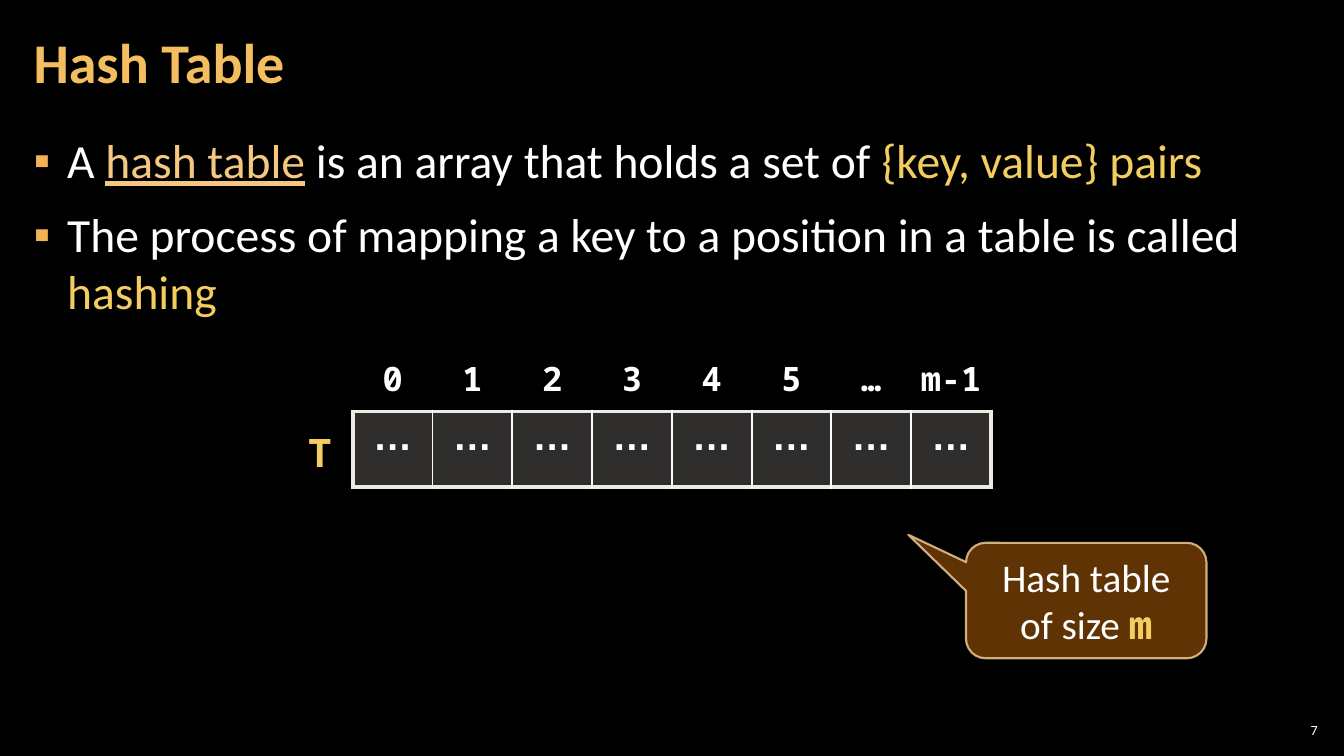
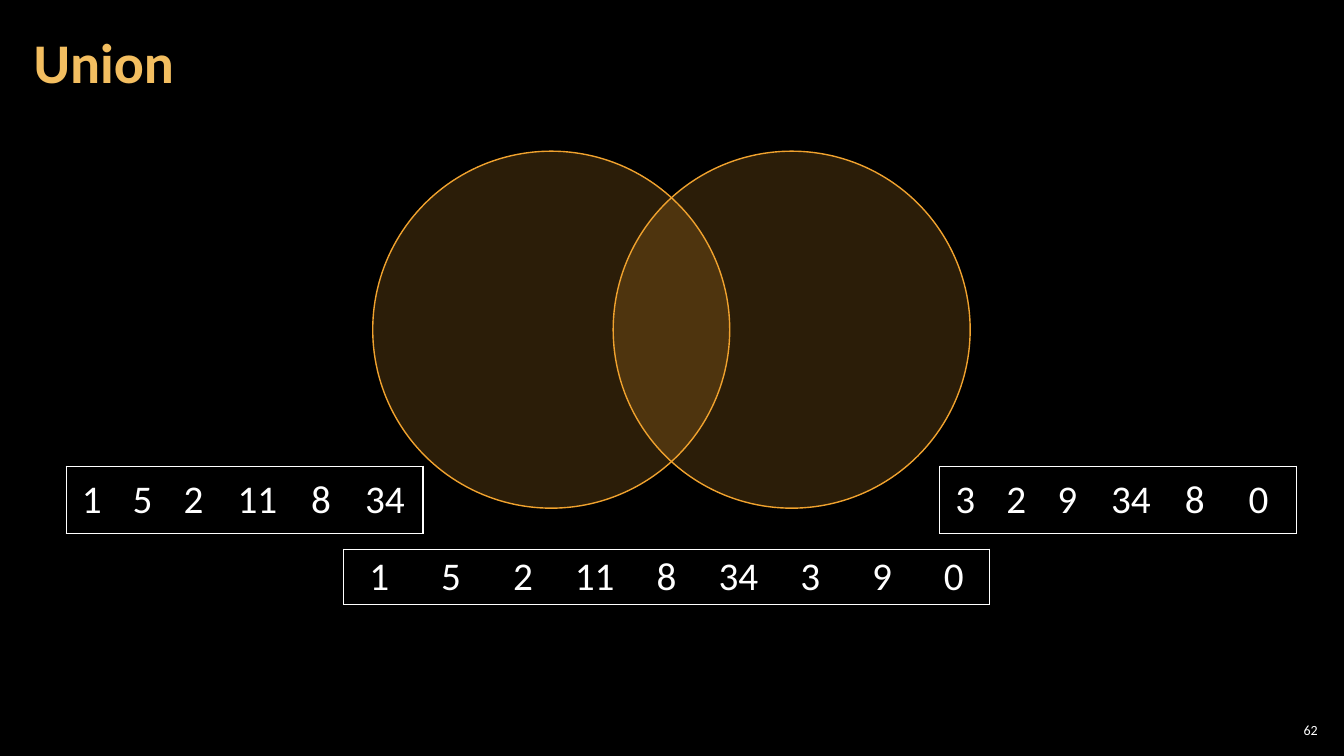
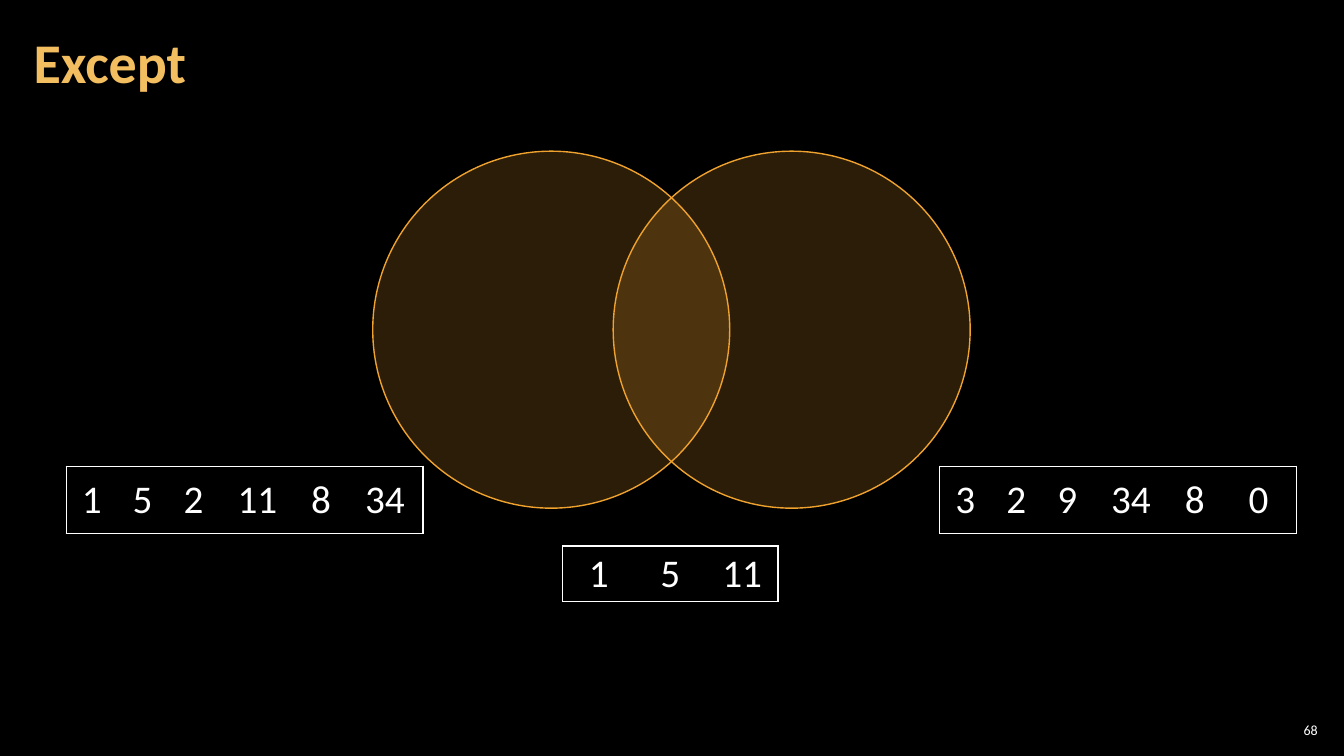
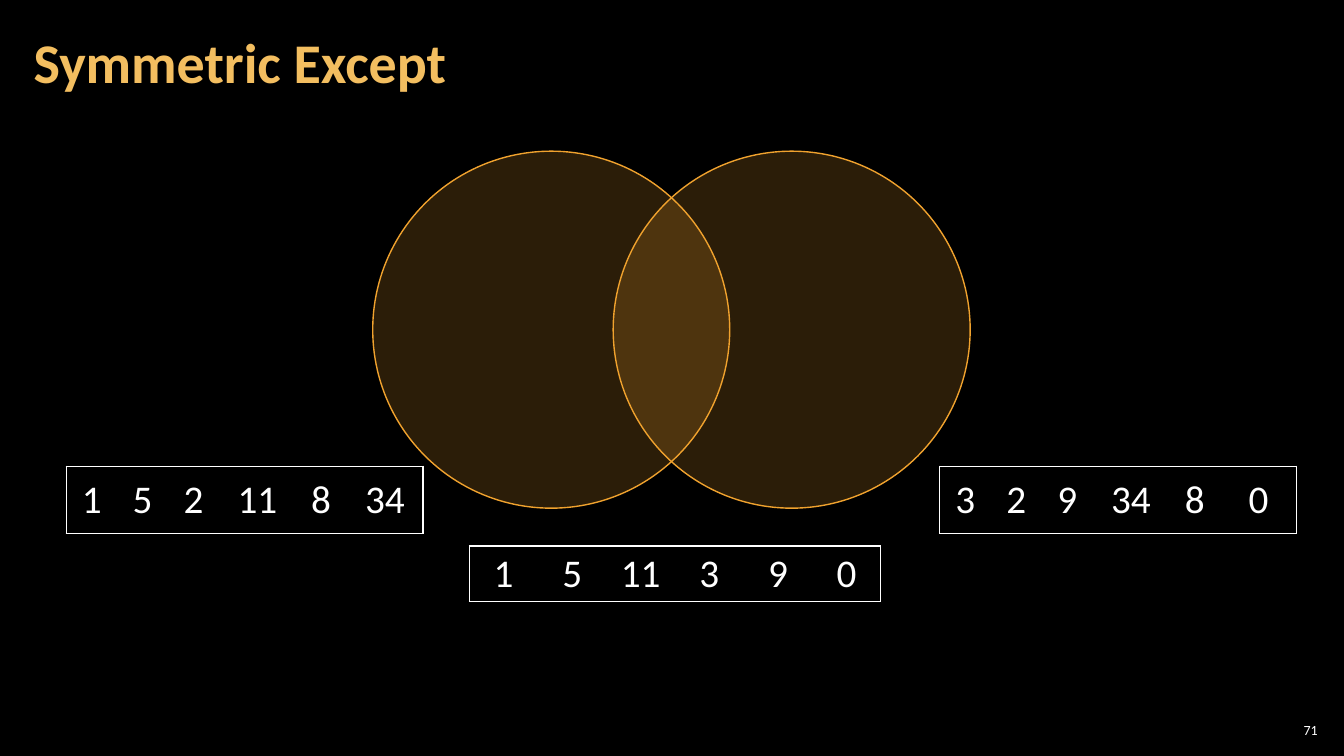
from pptx import Presentation
from pptx.dml.color import RGBColor
from pptx.enum.shapes import MSO_SHAPE
from pptx.enum.text import MSO_ANCHOR, MSO_AUTO_SIZE, PP_ALIGN
from pptx.oxml import parse_xml
from pptx.oxml.ns import nsdecls, qn
from pptx.util import Emu, Pt

SCALE = 9525
SANS, MONO, DOTS = "Calibri", "Noto Sans Mono", "Arial"
BLACK = RGBColor(0x00, 0x00, 0x00)
WHITE = RGBColor(0xFF, 0xFF, 0xFF)
TITLE = RGBColor(0xF3, 0xBE, 0x60)
GOLD = RGBColor(0xF3, 0xCD, 0x60)
PEACH = RGBColor(0xF6, 0xC7, 0x81)
BULLET = RGBColor(0xF2, 0xB2, 0x54)
AMBER = RGBColor(0xF0, 0xA2, 0x2E)
CREAM = RGBColor(0xEC, 0xEA, 0xE3)
BROWN = RGBColor(0x66, 0x36, 0x06)
SAND = RGBColor(0xF8, 0xD4, 0x9E)
NO_STYLE = "{2D5ABB26-0587-4C30-8999-92F81FD0307C}"

# Title, page number, result table box, result values
VENNS = [
    ("Union", 62, (327, 523, 616, 53), "1 5 2 11 8 34 3 9 0"),
    ("Except", 68, (536, 520, 205, 53), "1 5 11"),
    ("Symmetric Except", 71, (447, 520, 392, 53), "1 5 11 3 9 0"),
]


def px(num):
    return Emu(round(num * SCALE))


def place(shape, box):
    shape.left, shape.top, shape.width, shape.height = map(px, box)


def inset(item, side, top):
    """Set the margins of a text frame or a table cell."""
    item.margin_left = item.margin_right = px(side)
    item.margin_top = item.margin_bottom = px(top)


def write(par, text, size, color=WHITE, font=SANS, bold=False, line=None):
    run = par.add_run()
    run.text = text
    style = run.font
    style.size, style.name, style.bold = Pt(size), font, bold
    style.underline = line
    style.color.rgb = color


def fade(elem, *alphas):
    """Give the colours in elem, in order, an opacity in percent."""
    for color, alpha in zip(elem.iter(qn("a:srgbClr")), alphas):
        color.append(parse_xml(
            f'<a:alpha {nsdecls("a")} val="{alpha * 1000}"/>'))


def paint(shape, fill, line, width, *alphas):
    shape.shadow.inherit = False
    shape.fill.solid()
    shape.fill.fore_color.rgb = fill
    shape.line.color.rgb = line
    shape.line.width = Pt(width)
    fade(shape.element.spPr, *alphas)


def bullet(par):
    props = par._p.get_or_add_pPr()
    props.set("marL", str(px(32)))
    props.set("indent", str(px(-32)))
    par.space_before = par.space_after = Pt(6)
    for xml in (f'<a:buClr {nsdecls("a")}><a:srgbClr val="{BULLET}"/></a:buClr>',
                f'<a:buFont {nsdecls("a")} typeface="{DOTS}"/>',
                f'<a:buChar {nsdecls("a")} char="▪"/>'):
        props.append(parse_xml(xml))


def border(cell, edges):
    """Draw cell edges, given as (colour, points) or None for L, R, T, B."""
    props = cell._tc.get_or_add_tcPr()
    spot = 0
    for side, edge in zip("LRTB", edges):
        if edge:
            color, width = edge
            props.insert(spot, parse_xml(
                f'<a:ln{side} {nsdecls("a")} w="{Pt(width)}"><a:solidFill>'
                f'<a:srgbClr val="{color}"/></a:solidFill></a:ln{side}>'))
            spot += 1


def add_row(slide, box, texts, size=28, font=SANS, bold=False, parts=None,
            outer=(WHITE, 1), inner=None, fill=None, pad=(12, 5),
            anchor=MSO_ANCHOR.MIDDLE):
    """Add a table of one row; parts are the relative column widths."""
    count = len(texts)
    parts = parts or [1] * count
    table = slide.shapes.add_table(1, count, *map(px, box)).table
    table.first_row = table.horz_banding = False
    table._tbl.tblPr.find(qn("a:tableStyleId")).text = NO_STYLE
    for i, text in enumerate(texts):
        table.columns[i].width = px(box[2] * parts[i] / sum(parts))
        cell = table.cell(0, i)
        inset(cell, *pad)
        cell.vertical_anchor = anchor
        par = cell.text_frame.paragraphs[0]
        par.alignment = PP_ALIGN.CENTER
        par.line_spacing = 0.95
        write(par, text, size, font=font, bold=bold)
        if fill:
            cell.fill.solid()
            cell.fill.fore_color.rgb = fill
            fade(cell._tc.tcPr, 20)
        else:
            cell.fill.background()
        border(cell, (inner if i else outer,
                      inner if i < count - 1 else outer, outer, outer))


def add_slide(deck, layout, title, page):
    slide = deck.slides.add_slide(deck.slide_layouts[layout])
    head = slide.shapes.title
    place(head, (20, 4, 1005, 116))
    frame = head.text_frame
    frame.auto_size = MSO_AUTO_SIZE.NONE
    frame.vertical_anchor = MSO_ANCHOR.MIDDLE
    inset(frame, 12, 4)
    par = frame.paragraphs[0]
    par.alignment = PP_ALIGN.LEFT
    par.line_spacing = 0.9
    write(par, title, 40, TITLE, bold=True)

    frame = slide.shapes.add_textbox(*map(px, (1214, 685, 45, 20))).text_frame
    frame.word_wrap = True
    frame.vertical_anchor = MSO_ANCHOR.MIDDLE
    inset(frame, 4, 4)
    par = frame.paragraphs[0]
    par.alignment = PP_ALIGN.RIGHT
    write(par, str(page), 10)
    return slide


def add_body(slide):
    body = slide.placeholders[1]
    place(body, (20, 121, 1239, 585))
    frame = body.text_frame
    frame.auto_size = MSO_AUTO_SIZE.NONE
    inset(frame, 12, 4)
    first, second = frame.paragraphs[0], frame.add_paragraph()
    bullet(first)
    write(first, "A ", 34)
    write(first, "hash table", 34, PEACH, line=True)
    write(first, " is an array that holds a set of ", 34)
    write(first, "{key, value} pairs", 34, GOLD)
    bullet(second)
    write(second, "The process of mapping a key to a position in a table "
                  "is called ", 34)
    write(second, "hashing", 34, GOLD)


def add_callout(slide):
    note = slide.shapes.add_shape(MSO_SHAPE.ROUNDED_RECTANGULAR_CALLOUT,
                                  *map(px, (920, 517, 229, 110)))
    for i, value in enumerate((-0.74, -0.57, 0.17)):
        note.adjustments[i] = value
    paint(note, BROWN, SAND, 1.5, 95, 80)
    frame = note.text_frame
    frame.vertical_anchor = MSO_ANCHOR.MIDDLE
    par = frame.paragraphs[0]
    par.alignment = PP_ALIGN.CENTER
    write(par, "Hash table", 28)
    par.add_line_break()
    write(par, "of size ", 28)
    write(par, "m", 28, GOLD, MONO, True)


def hash_slide(deck):
    slide = add_slide(deck, 1, "Hash Table", 7)
    add_body(slide)
    keys = ["0", "1", "2", "3", "4", "5", "…", "m-1"]
    add_row(slide, (336, 392, 608, 72), ["…"] * len(keys), font=DOTS,
            bold=True, outer=(CREAM, 3), inner=(WHITE, 1.5), fill=CREAM,
            anchor=MSO_ANCHOR.TOP)
    add_row(slide, (336, 336, 608, 44), keys, 24, MONO, True, outer=None,
            pad=(5, 4), anchor=MSO_ANCHOR.TOP)
    frame = slide.shapes.add_textbox(*map(px, (284, 403, 40, 54))).text_frame
    frame.word_wrap = False
    par = frame.paragraphs[0]
    par.alignment = PP_ALIGN.CENTER
    write(par, "T", 28, GOLD, MONO, True)
    add_callout(slide)


def venn_slide(deck, title, page, box, result):
    slide = add_slide(deck, 5, title, page)
    for left in (584, 355):
        disc = slide.shapes.add_shape(MSO_SHAPE.OVAL,
                                      *map(px, (left, 144, 340, 340)))
        paint(disc, AMBER, AMBER, 1, 18)
    for left, values in ((63, "1 5 2 11 8 34"), (895, "3 2 9 34 8 0")):
        add_row(slide, (left, 444, 340, 64), values.split(),
                parts=(2, 2, 2, 3, 2, 3))
    add_row(slide, box, result.split())


def main():
    deck = Presentation()
    deck.slide_width, deck.slide_height = px(1280), px(720)
    back = deck.slide_master.background.fill
    back.solid()
    back.fore_color.rgb = BLACK
    hash_slide(deck)
    for venn in VENNS:
        venn_slide(deck, *venn)
    deck.save("out.pptx")


if __name__ == "__main__":
    main()
